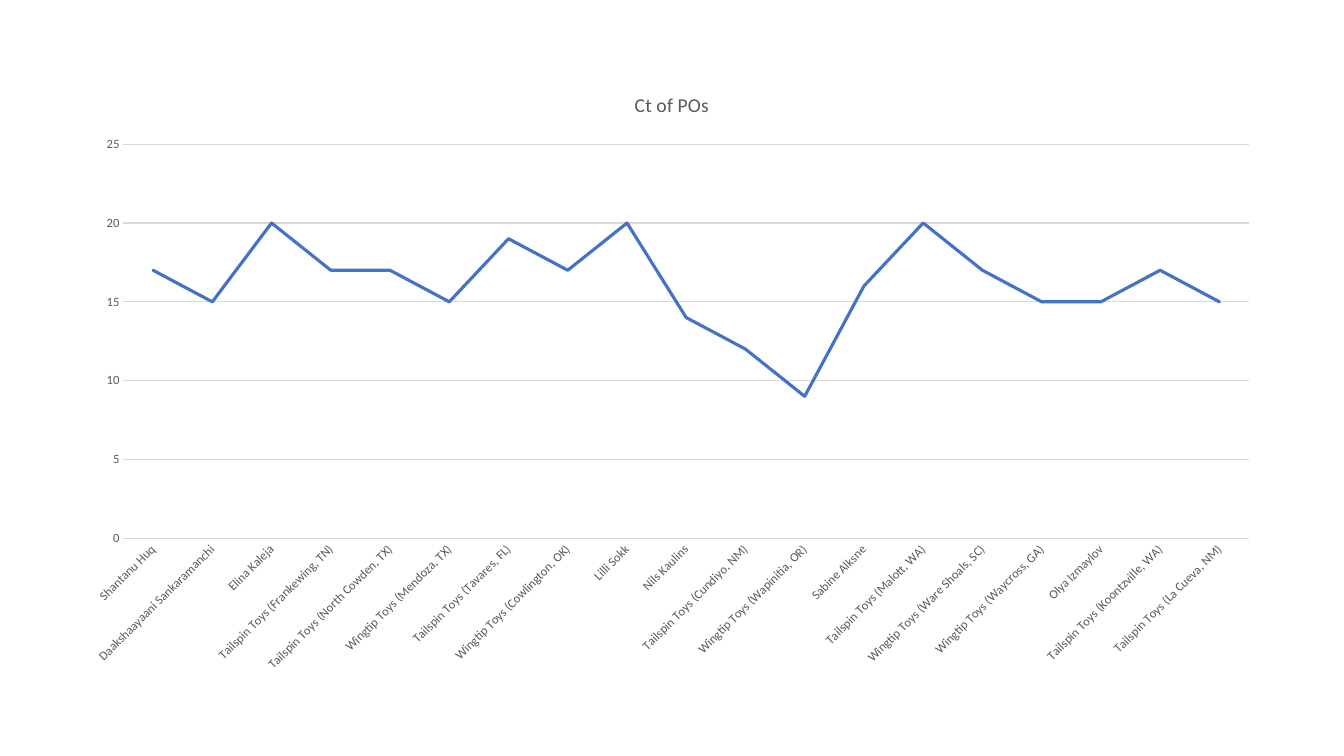
from pptx import Presentation, oxml
from pptx import util as u
from pptx.chart import data
from pptx.dml import color
from pptx.enum import chart as ch

THEME = {
    "font": "Calibri",
    "text": color.RGBColor.from_string("595959"),
    "rule": color.RGBColor.from_string("D9D9D9"),
    "orders": color.RGBColor.from_string("4472C4"),
    "title_size": 14,
    "label_size": 9,
}


def style_font(font, size):
    font.name = THEME["font"]
    font.size = u.Pt(size)
    font.bold = False
    font.color.rgb = THEME["text"]


def write(frame, words, *, size):
    run = frame.paragraphs[0].add_run()
    run.text = words
    style_font(run.font, size)


orders_by_customer = [
    ("Shantanu Huq", 17),
    ("Daakshaayaani Sankaramanchi", 15),
    ("Elina Kaleja", 20),
    ("Tailspin Toys (Frankewing, TN)", 17),
    ("Tailspin Toys (North Cowden, TX)", 17),
    ("Wingtip Toys (Mendoza, TX)", 15),
    ("Tailspin Toys (Tavares, FL)", 19),
    ("Wingtip Toys (Cowlington, OK)", 17),
    ("Lilli Sokk", 20),
    ("Nils Kaulins", 14),
    ("Tailspin Toys (Cundiyo, NM)", 12),
    ("Wingtip Toys (Wapinitia, OR)", 9),
    ("Sabine Alksne", 16),
    ("Tailspin Toys (Malott, WA)", 20),
    ("Wingtip Toys (Ware Shoals, SC)", 17),
    ("Wingtip Toys (Waycross, GA)", 15),
    ("Olya Izmaylov", 15),
    ("Tailspin Toys (Koontzville, WA)", 17),
    ("Tailspin Toys (La Cueva, NM)", 15),
]
customers, order_counts = zip(*orders_by_customer)
heading = "Ct of POs"

deck = Presentation()
deck.slide_width, deck.slide_height = u.Pt(960), u.Pt(540)
slide = deck.slides.add_slide(deck.slide_layouts[6])

orders_data = data.CategoryChartData()
orders_data.categories = customers
orders_data.add_series(heading, order_counts)
orders_chart = slide.shapes.add_chart(
    ch.XL_CHART_TYPE.LINE, u.Pt(50.4), u.Pt(50.4), u.Pt(859), u.Pt(438.5), orders_data
).chart
orders_chart.has_legend = False
orders_chart.font.name = THEME["font"]
orders_chart.font.size = u.Pt(10)
orders_chart.has_title = True
orders_chart.chart_title.include_in_layout = False
write(orders_chart.chart_title.text_frame, heading, size=THEME["title_size"])

customer_axis, count_axis = orders_chart.category_axis, orders_chart.value_axis
for axis in (customer_axis, count_axis):
    axis.major_tick_mark = axis.minor_tick_mark = ch.XL_TICK_MARK.NONE
    style_font(axis.tick_labels.font, THEME["label_size"])

count_axis.minimum_scale, count_axis.maximum_scale, count_axis.major_unit = 0, 25, 5
count_axis.has_major_gridlines = True
count_axis.format.line.fill.background()
for rule in (customer_axis.format.line, count_axis.major_gridlines.format.line):
    rule.color.rgb = THEME["rule"]
    rule.width = u.Pt(0.75)

orders_chart.plots[0].vary_by_categories = False
orders = orders_chart.plots[0].series[0]
orders.smooth = False
orders.format.line.color.rgb = THEME["orders"]
orders.format.line.width = u.Pt(2.25)

chart_xml = orders_chart.element
chart_xml.xpath(".//c:ser/c:spPr/a:ln")[0].set("cap", "rnd")
chart_xml.xpath(".//c:catAx/c:txPr/a:bodyPr")[0].set("rot", "-2700000")

plot_area = chart_xml.xpath(".//c:plotArea")[0]
for layout in plot_area.xpath("./c:layout"):
    plot_area.remove(layout)
plot_box = {"x": 0.044, "y": 0.12, "w": 0.936, "h": 0.642}
placement = '<c:layoutTarget val="inner"/><c:xMode val="edge"/><c:yMode val="edge"/>'
placement += "".join(f'<c:{side} val="{share}"/>' for side, share in plot_box.items())
plot_area.insert(0, oxml.parse_xml(
    '<c:layout xmlns:c="http://schemas.openxmlformats.org/drawingml/2006/chart">'
    f"<c:manualLayout>{placement}</c:manualLayout></c:layout>"
))

deck.save("out.pptx")
